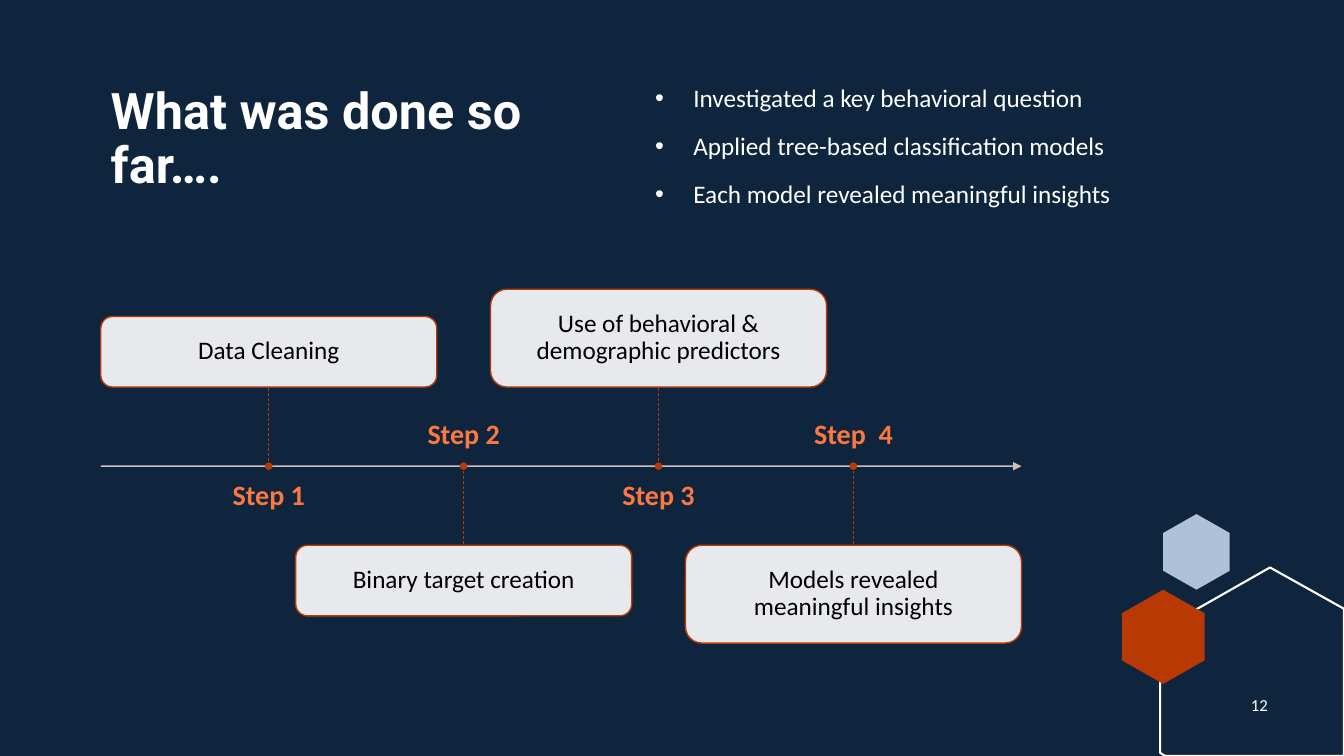
from dataclasses import dataclass

from lxml.etree import SubElement
from pptx import Presentation
from pptx.dml.color import RGBColor
from pptx.enum.dml import MSO_LINE_DASH_STYLE as Dash
from pptx.enum.shapes import MSO_CONNECTOR as Connector, MSO_SHAPE as Shape
from pptx.enum.text import MSO_ANCHOR as Anchor, PP_ALIGN as Align
from pptx.oxml.ns import qn
from pptx.util import Inches, Pt

COLUMNS, ROWS = 40, 75
WHITE, ORANGE, RUST, BLACK = "FFFFFF", "FC7840", "B83903", "000000"
NAVY, PALE_BLUE, BLUSH = "0F253E", "AEC1D8", "E6CECC"

FIRST_COLUMN, STEP_PITCH, CARD_COLUMNS = 3, 5.8, 10
AXIS_ROW, STEM_ROWS = 46.25, 7.85
LABEL_GAP, LABEL_ROWS, LABEL_COLUMNS = 1.55, 4.7, 8.8
DOT_SIZE = Inches(0.06)
BULLET_INDENT = Inches(0.38)
DEFAULT_INSETS, NO_INSETS, CARD_INSETS = (0.1, 0.05), (0, 0), (0.2, 0.17)

presentation = Presentation()
presentation.slide_width, presentation.slide_height = Inches(13.33), Inches(7.5)
slide = presentation.slides.add_slide(presentation.slide_layouts[6])
shapes = slide.shapes


@dataclass(frozen=True)
class Step:
    label: str
    text: str
    card_rows: float
    above: bool


@dataclass(frozen=True)
class Hexagon:
    center: float
    top: float
    half_width: float
    height: float
    color: str

    def points(self) -> list[tuple[float, float]]:
        left, right = self.center - self.half_width, self.center + self.half_width
        upper, lower = self.top + self.height / 4, self.top + self.height * 3 / 4
        return [(self.center, self.top), (right, upper), (right, lower),
                (self.center, self.top + self.height), (left, lower), (left, upper)]


STEPS = [
    Step("Step 1", "Data Cleaning", 7, True),
    Step("Step 2", "Binary target creation", 7, False),
    Step("Step 3", "Use of behavioral & demographic predictors", 9.7, True),
    Step("Step  4", "Models revealed meaningful insights", 9.7, False),
]
FINDINGS = [
    "Investigated a key behavioral question",
    "Applied tree-based classification models",
    "Each model revealed meaningful insights",
]
BLUE_HEXAGON = Hexagon(35.61, 51, 0.99, 7.5, PALE_BLUE)
RUST_HEXAGON = Hexagon(34.62, 58.5, 1.23, 9.35, RUST)
OUTLINE = [(37.8, 56.3), (40, 60.4), (40, 75), (34.68, 75), (34.53, 74.7), (34.53, 62.5)]


def x(column: float) -> int:
    return round(presentation.slide_width * column / COLUMNS)


def y(row: float) -> int:
    return round(presentation.slide_height * row / ROWS)


def rgb(color: str) -> RGBColor:
    return RGBColor.from_string(color)


def apply(target, values: dict) -> None:
    for name, value in values.items():
        setattr(target, name, value)


def paint(fill, color: str, opacity: int = 100) -> None:
    fill.solid()
    fill.fore_color.rgb = rgb(color)
    if opacity < 100:
        color_element = fill._xPr.find(qn("a:solidFill"))[0]
        SubElement(color_element, qn("a:alpha"), val=str(opacity * 1000))


def add_bullet(paragraph) -> None:
    properties = paragraph._p.get_or_add_pPr()
    properties.set("marL", str(BULLET_INDENT))
    properties.set("indent", str(-BULLET_INDENT))
    SubElement(properties, qn("a:buFont"), typeface="Arial")
    SubElement(properties, qn("a:buChar"), char="•")


def write(frame, lines: list[str], size: int, color: str, *, font: str = "Calibri",
          bold: bool = False, align=Align.CENTER, anchor=Anchor.TOP,
          insets: tuple[float, float] = DEFAULT_INSETS, bullets: bool = False) -> None:
    side, end = map(Inches, insets)
    apply(frame, {"word_wrap": True, "vertical_anchor": anchor, "margin_left": side,
                  "margin_right": side, "margin_top": end, "margin_bottom": end})
    for index, line in enumerate(lines):
        paragraph = frame.add_paragraph() if index else frame.paragraphs[0]
        apply(paragraph, {"alignment": align, "line_spacing": 0.9})
        if index:
            paragraph.space_before = Pt(15)
        if bullets:
            add_bullet(paragraph)
        run = paragraph.add_run()
        run.text = line
        apply(run.font, {"name": font, "size": Pt(size), "bold": bold})
        run.font.color.rgb = rgb(color)


def add_text(column: float, row: float, columns: float, rows: float,
             lines: list[str], size: int, color: str, **style) -> None:
    box = shapes.add_textbox(x(column), y(row), x(columns), y(rows))
    write(box.text_frame, lines, size, color, **style)


def add_line(start: tuple[float, float], end: tuple[float, float],
             color: str, width: float, opacity: int = 100):
    connector = shapes.add_connector(Connector.STRAIGHT, x(start[0]), y(start[1]),
                                     x(end[0]), y(end[1]))
    connector.line.width = Pt(width)
    paint(connector.line.fill, color, opacity)
    SubElement(connector._element.spPr, qn("a:effectLst"))
    return connector


def add_polygon(points: list[tuple[float, float]]):
    """Draw a closed outline through (column, row) points."""
    corners = [(x(column), y(row)) for column, row in points]
    builder = shapes.build_freeform(*corners[0])
    builder.add_line_segments(corners[1:], close=True)
    polygon = builder.convert_to_shape()
    polygon.shadow.inherit = False
    return polygon


def add_hexagon(hexagon: Hexagon) -> None:
    polygon = add_polygon(hexagon.points())
    paint(polygon.fill, hexagon.color)
    polygon.line.fill.background()


def add_preset(kind, left: int, top: int, width: int, height: int, color: str, opacity: int = 100):
    """Draw a preset shape with the rust border of the timeline."""
    shape = shapes.add_shape(kind, left, top, width, height)
    shape.shadow.inherit = False
    paint(shape.fill, color, opacity)
    paint(shape.line.fill, RUST)
    shape.line.width = Pt(1)
    return shape


def add_step(index: int, step: Step) -> None:
    left = FIRST_COLUMN + index * STEP_PITCH
    center = left + CARD_COLUMNS / 2
    if step.above:
        stem_end = AXIS_ROW - STEM_ROWS
        card_top = stem_end - step.card_rows
        label_top, label_anchor = AXIS_ROW + LABEL_GAP, Anchor.TOP
    else:
        stem_end = card_top = AXIS_ROW + STEM_ROWS
        label_top, label_anchor = AXIS_ROW - LABEL_GAP - LABEL_ROWS, Anchor.BOTTOM

    card = add_preset(Shape.ROUNDED_RECTANGLE, x(left), y(card_top),
                      x(CARD_COLUMNS), y(step.card_rows), WHITE, 90)
    write(card.text_frame, [step.text], 18, BLACK, anchor=Anchor.MIDDLE, insets=CARD_INSETS)
    stem = add_line((center, AXIS_ROW), (center, stem_end), RUST, 0.5)
    stem.line.dash_style = Dash.DASH
    add_text(center - LABEL_COLUMNS / 2, label_top, LABEL_COLUMNS, LABEL_ROWS, [step.label],
             20, ORANGE, bold=True, anchor=label_anchor, insets=NO_INSETS)
    add_preset(Shape.OVAL, x(center) - DOT_SIZE // 2, y(AXIS_ROW) - DOT_SIZE // 2,
               DOT_SIZE, DOT_SIZE, RUST)


def main() -> None:
    paint(slide.background.fill, NAVY)

    add_hexagon(BLUE_HEXAGON)
    outline = add_polygon(OUTLINE)
    outline.fill.background()
    paint(outline.line.fill, WHITE)
    outline.line.width = Pt(1.5)
    add_hexagon(RUST_HEXAGON)

    add_text(3, 8, 15.3, 19, ["What was done so far…."], 36, WHITE,
             font="Roboto", bold=True, align=Align.LEFT)
    add_text(19.2, 8, 18, 19, FINDINGS, 18, WHITE, align=Align.LEFT, bullets=True)

    axis_end = FIRST_COLUMN + (len(STEPS) - 1) * STEP_PITCH + CARD_COLUMNS
    axis = add_line((FIRST_COLUMN, AXIS_ROW), (axis_end, AXIS_ROW), BLUSH, 1, 90)
    SubElement(axis.line._get_or_add_ln(), qn("a:tailEnd"), type="triangle")
    for index, step in enumerate(STEPS):
        add_step(index, step)

    add_text(36.73, 68, 1.5, 4, ["12"], 12, WHITE, anchor=Anchor.MIDDLE)
    presentation.save("out.pptx")


if __name__ == "__main__":
    main()
